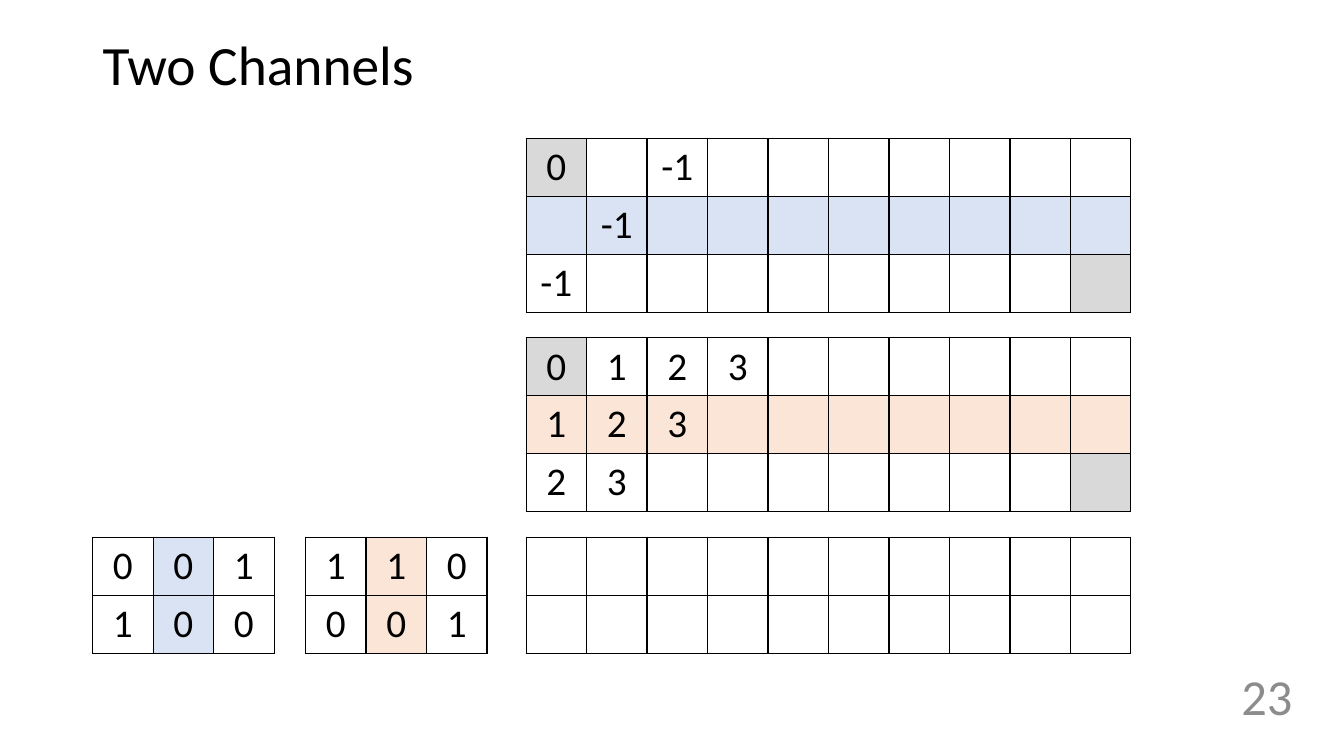
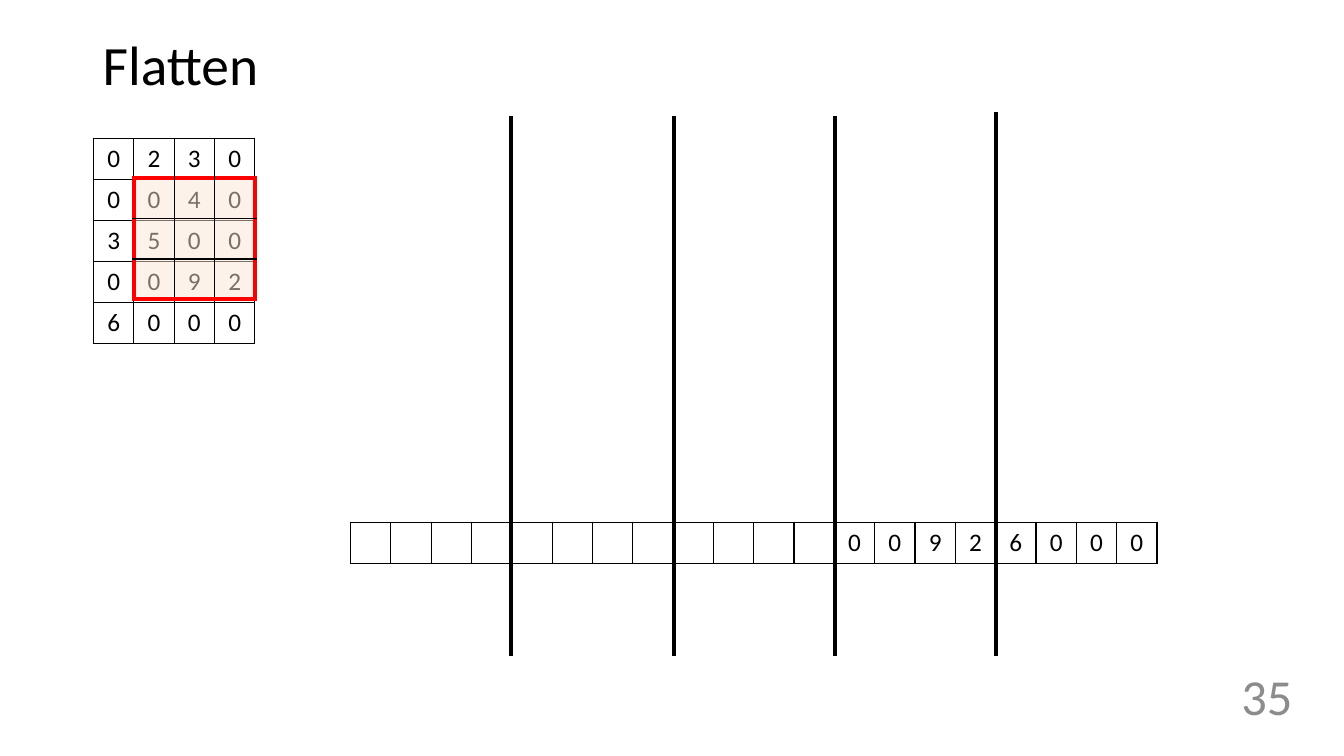
"""Build two slides about convolution channels and flattening."""
from lxml.etree import SubElement
from pptx import Presentation
from pptx.dml.color import RGBColor
from pptx.enum.shapes import MSO_CONNECTOR
from pptx.enum.text import MSO_ANCHOR, MSO_AUTO_SIZE, PP_ALIGN
from pptx.oxml.ns import qn
from pptx.util import Pt

FONT = "Calibri"
BLACK, RED, MUTED = "000000", "FF0000", "8C8C8C"
FILLS = {"g": "D9D9D9", "b": "DAE3F3", "o": "FBE5D6"}
LARGE = {"col_w": 43.2, "row_h": 41.4, "size": 28}
SMALL = {"col_w": 28.8, "row_h": 29.3, "size": 18}
FILTER_Y = 383.8

CHANNEL_GRIDS = [
    {"left": 375.8, "top": 241.2, "shape": (3, 10),
     "rows": [["0", "1", "2", "3"], ["1", "2", "3"], ["2", "3"]],
     "shades": ["g.........", "oooooooooo", ".........g"]},
    {"left": 375.8, "top": FILTER_Y, "shape": (2, 10)},
    {"left": 218.2, "top": FILTER_Y, "shape": (2, 3),
     "rows": [["1", "1", "0"], ["0", "0", "1"]], "shades": [".o."] * 2},
    {"left": 375.8, "top": 99, "shape": (3, 10),
     "rows": [["0", "", "-1"], ["", "-1"], ["-1"]],
     "shades": ["g.........", "bbbbbbbbbb", ".........g"]},
    {"left": 66.2, "top": FILTER_Y, "shape": (2, 3),
     "rows": [["0", "0", "1"], ["1", "0", "0"]], "shades": [".b."] * 2},
]
MATRIX = [list("0230"), list("0040"), list("3500"), list("0092"), list("6000")]
FLAT = [""] * 12 + MATRIX[3] + MATRIX[4]
FLAT_GRIDS = [
    {"left": 66.8, "top": 99, "shape": (5, 4), "rows": MATRIX},
    {"left": 250.4, "top": 373, "shape": (1, 20), "rows": [FLAT]},
]
WINDOW = {"left": 95.8, "top": 127.4, "shape": (3, 3), "shades": ["ooo"] * 3,
          "row_h": 28.8, "alpha": 49, "edge": (RED, 3)}
DIVIDERS = [(365, 82.8), (481.7, 82.8), (596.2, 82.8), (711.4, 79.9)]
DIVIDER_BOTTOM = 468.7


def rgb(value):
    """Turn a hex string into a colour."""
    return RGBColor.from_string(value)


def write(tf, text, size, color=BLACK, align=PP_ALIGN.LEFT, spacing=None):
    """Put one formatted line of text in a frame."""
    p = tf.paragraphs[0]
    p.alignment = align
    p.line_spacing = spacing
    r = p.add_run()
    r.text = text
    r.font.name = FONT
    r.font.size = Pt(size)
    r.font.bold = False
    r.font.color.rgb = rgb(color)


def add_border(cell, side, color, width):
    """Draw one side of a table cell."""
    ln = SubElement(cell._tc.get_or_add_tcPr(), qn(f"a:ln{side}"), w=str(Pt(width)))
    fill = SubElement(ln, qn("a:solidFill"))
    SubElement(fill, qn("a:srgbClr"), val=color)


def add_grid(slide, left, top, shape, rows=(), shades=(), col_w=28.8, row_h=29.3,
             size=18, alpha=None, edge=(BLACK, 1)):
    """Add a bordered table of numbers with shaded cells."""
    n_rows, n_cols = shape
    table = slide.shapes.add_table(n_rows, n_cols, Pt(left), Pt(top),
                                   Pt(col_w * n_cols), Pt(row_h * n_rows)).table
    table.first_row = table.horz_banding = False
    for col in table.columns:
        col.width = Pt(col_w)
    for i, row in enumerate(table.rows):
        row.height = Pt(row_h)
        texts = rows[i] if rows else []
        for j, cell in enumerate(row.cells):
            cell.margin_left = cell.margin_right = 0
            cell.margin_top = cell.margin_bottom = 0
            cell.vertical_anchor = MSO_ANCHOR.MIDDLE
            outer = {"L": j == 0, "R": j == n_cols - 1,
                     "T": i == 0, "B": i == n_rows - 1}
            for side, is_outer in outer.items():
                add_border(cell, side, *(edge if is_outer else (BLACK, 1)))
            shade = FILLS.get(shades[i][j]) if shades else None
            if shade:
                cell.fill.solid()
                cell.fill.fore_color.rgb = rgb(shade)
                if alpha:
                    clr = cell._tc.tcPr.find(qn("a:solidFill")).find(qn("a:srgbClr"))
                    SubElement(clr, qn("a:alpha"), val=str(alpha * 1000))
            else:
                cell.fill.background()
            if j < len(texts) and texts[j]:
                write(cell.text_frame, texts[j], size, align=PP_ALIGN.CENTER)


def add_divider(slide, x, top):
    """Draw a thick vertical line."""
    line = slide.shapes.add_connector(MSO_CONNECTOR.STRAIGHT, Pt(x), Pt(top),
                                      Pt(x), Pt(DIVIDER_BOTTOM))
    line.line.color.rgb = rgb(BLACK)
    line.line.width = Pt(3)
    SubElement(line._element.spPr, qn("a:effectLst"))


def add_slide(prs, title, number):
    """Add a slide with its title and page number."""
    slide = prs.slides.add_slide(prs.slide_layouts[5])
    sp = slide.shapes.title
    sp.left, sp.top, sp.width, sp.height = Pt(66.2), Pt(28.8), Pt(828), Pt(39.6)
    page = slide.shapes.add_textbox(Pt(840.2), Pt(465.8), Pt(90), Pt(61.9))
    for tf in (sp.text_frame, page.text_frame):
        tf.word_wrap = True
        tf.auto_size = MSO_AUTO_SIZE.NONE
        tf.vertical_anchor = MSO_ANCHOR.MIDDLE
    write(sp.text_frame, title, 39.6, spacing=0.9)
    write(page.text_frame, number, 36, MUTED, PP_ALIGN.RIGHT)
    return slide


def main():
    """Build and save the presentation."""
    prs = Presentation()
    prs.slide_width, prs.slide_height = Pt(960), Pt(540)

    channels = add_slide(prs, "Two Channels", "23")
    for grid in CHANNEL_GRIDS:
        add_grid(channels, **grid, **LARGE)

    flatten = add_slide(prs, "Flatten", "35")
    for grid in FLAT_GRIDS:
        add_grid(flatten, **grid, **SMALL)
    for x, top in DIVIDERS:
        add_divider(flatten, x, top)
    add_grid(flatten, **WINDOW)

    prs.save("out.pptx")


if __name__ == "__main__":
    main()
